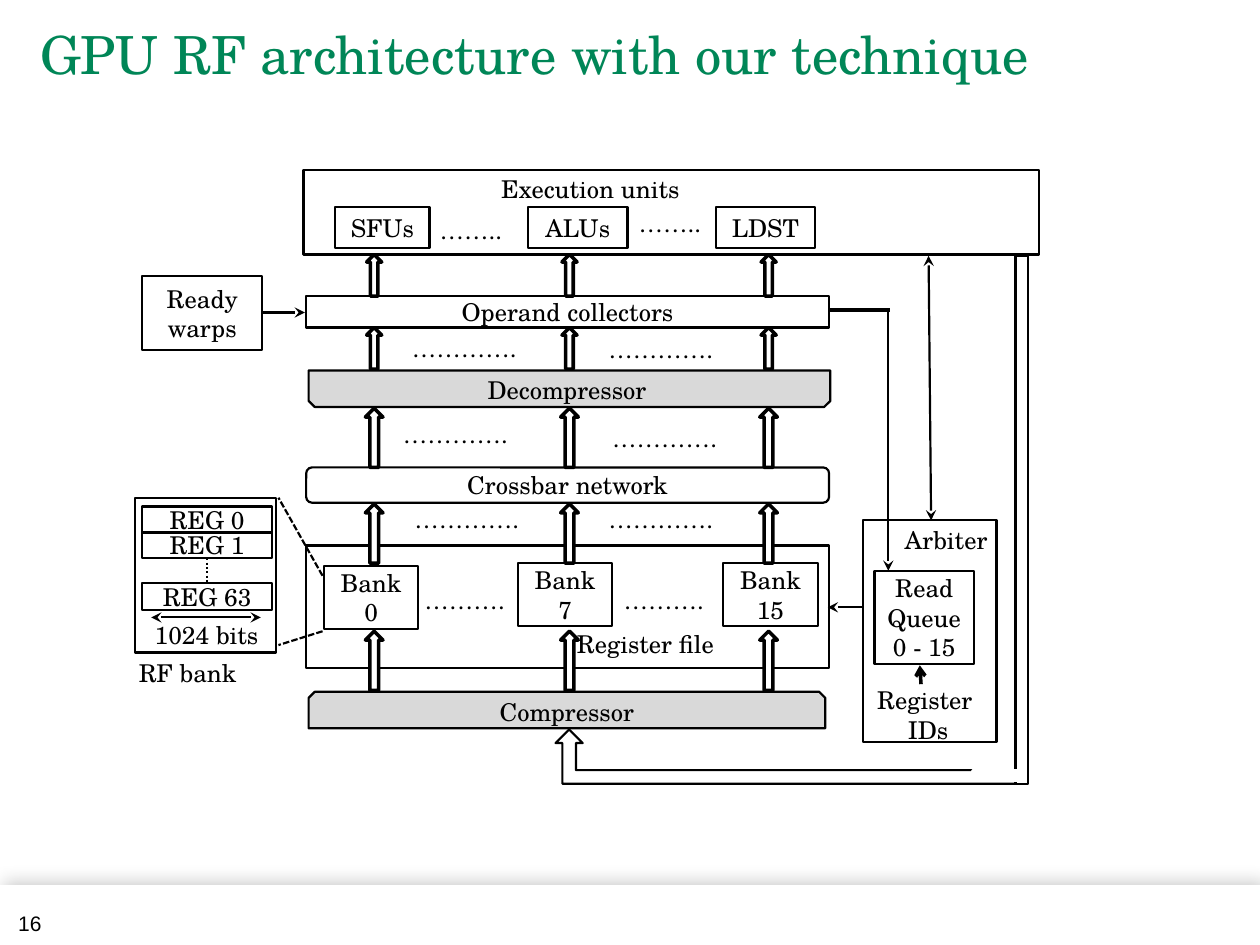
from dataclasses import dataclass

from lxml import etree
from pptx import Presentation
from pptx.dml.color import RGBColor
from pptx.enum.dml import MSO_LINE
from pptx.enum.shapes import MSO_CONNECTOR, MSO_SHAPE
from pptx.enum.text import MSO_ANCHOR, MSO_AUTO_SIZE, PP_ALIGN
from pptx.oxml import parse_xml
from pptx.oxml.ns import nsdecls, qn
from pptx.util import Inches, Pt

RECT, ROUND = MSO_SHAPE.RECTANGLE, MSO_SHAPE.ROUNDED_RECTANGLE
SNIP, UP = MSO_SHAPE.SNIP_2_SAME_RECTANGLE, MSO_SHAPE.UP_ARROW
BENT = MSO_SHAPE.BENT_UP_ARROW
STRAIGHT = MSO_CONNECTOR.STRAIGHT
DOTTED, DASHED = MSO_LINE.ROUND_DOT, MSO_LINE.SQUARE_DOT
LEFT, CENTER, RIGHT = PP_ALIGN.LEFT, PP_ALIGN.CENTER, PP_ALIGN.RIGHT
MIDDLE = MSO_ANCHOR.MIDDLE
FIT = MSO_AUTO_SIZE.SHAPE_TO_FIT_TEXT


@dataclass(frozen=True)
class Theme:
    """Colours, fonts, text sizes and line widths of the slide."""
    ink: RGBColor = RGBColor(0, 0, 0)
    paper: RGBColor = RGBColor(255, 255, 255)
    grey: RGBColor = RGBColor(0xD9, 0xD9, 0xD9)
    green: RGBColor = RGBColor(0x00, 0x86, 0x57)
    font: str = "TeX Gyre Schola"
    number_font: str = "Arial"
    title: Pt = Pt(30)
    body: Pt = Pt(14)
    number: Pt = Pt(12)
    thin: Pt = Pt(1.25)
    thick: Pt = Pt(2)


T = Theme()


@dataclass
class Region:
    """A part of the slide whose items are placed from its top left corner."""
    slide: object
    x: float
    y: float
    w: float
    h: float

    def shape(self, kind, x, y, w, h, text="", fill=None, line=T.ink, width=T.thin):
        """Draw a preset shape with centred text."""
        sp = self.slide.shapes.add_shape(
            kind, Inches(self.x + x), Inches(self.y + y), Inches(w), Inches(h))
        sp.shadow.inherit = False
        if fill is None:
            sp.fill.background()
        else:
            sp.fill.solid()
            sp.fill.fore_color.rgb = fill
        sp.line.color.rgb = line
        sp.line.width = width
        if text:
            sp.text_frame.vertical_anchor = MIDDLE
            write(sp.text_frame, text)
        return sp

    def frame(self):
        """Outline the whole region."""
        return self.shape(RECT, 0, 0, self.w, self.h)

    def label(self, x, y, w, text, h=0.34, align=LEFT, wrap=False):
        """Place a text box that fits its text."""
        tb = self.slide.shapes.add_textbox(
            Inches(self.x + x), Inches(self.y + y), Inches(w), Inches(h))
        tf = tb.text_frame
        tf.word_wrap = wrap
        tf.auto_size = FIT
        write(tf, text, align)
        return tf

    def line(self, x1, y1, x2, y2, width=T.thin, dash=None, head=None, tail=None):
        """Draw a straight line with optional arrowheads."""
        cx = self.slide.shapes.add_connector(
            STRAIGHT, Inches(self.x + x1), Inches(self.y + y1),
            Inches(self.x + x2), Inches(self.y + y2))
        cx.line.color.rgb = T.ink
        cx.line.width = width
        if dash:
            cx.line.dash_style = dash
        for tag, kind in (("a:headEnd", head), ("a:tailEnd", tail)):
            if kind:
                etree.SubElement(cx.line._get_or_add_ln(), qn(tag)).set("type", kind)
        etree.SubElement(cx.element.spPr, qn("a:effectLst"))


def write(tf, text, align=CENTER, size=T.body, color=T.ink, font=T.font, spacing=None):
    """Fill a text frame and format its paragraphs and runs."""
    tf.text = text
    for p in tf.paragraphs:
        p.alignment = align
        if spacing:
            p.line_spacing = spacing
        for r in p.runs:
            r.font.size, r.font.name = size, font
            r.font.color.rgb = color


def footer(s, x, y, w, h):
    """Draw the shaded footer band and the slide number."""
    band = Region(s, x, y, w, h)
    sp = band.shape(RECT, 0, 0, w, h, fill=T.paper, line=T.paper, width=Pt(0.75))
    effects = sp.element.spPr.find(qn("a:effectLst"))
    effects.append(parse_xml(
        f'<a:outerShdw {nsdecls("a")} blurRad="{Pt(10)}" dist="{Pt(3)}" dir="18900000">'
        '<a:srgbClr val="000000"><a:alpha val="20000"/></a:srgbClr></a:outerShdw>'))
    tf = s.shapes.add_textbox(
        Inches(x + 0.1), Inches(y + 0.22), Inches(0.23), Inches(0.17)).text_frame
    tf.margin_left = tf.margin_right = tf.margin_top = tf.margin_bottom = 0
    write(tf, "16", RIGHT, T.number, font=T.number_font, spacing=0.9)


def title(s, x, y, w, h):
    """Write the slide title."""
    tf = s.shapes.add_textbox(Inches(x), Inches(y), Inches(w), Inches(h)).text_frame
    tf.word_wrap = True
    write(tf, "GPU RF architecture with our technique", LEFT, T.title, T.green,
          spacing=0.85)


def execution_units(s, x, y, w, h):
    """Draw the execution units."""
    units = Region(s, x, y, w, h)
    units.frame()
    units.label(1.47, -0.02, 1.63, "Execution units")
    for left, width, name in ((0.25, 0.75, "SFUs"), (1.78, 0.79, "ALUs"),
                              (3.27, 0.79, "LDST")):
        units.shape(RECT, left, 0.29, width, 0.33, name)
    for left, top in ((0.98, 0.31), (2.56, 0.25)):
        units.label(left, top, 0.7, "……..")


def register_file(s, x, y, w, h):
    """Draw the register file with its banks."""
    rf = Region(s, x, y, w, h)
    rf.frame()
    for left, top, number in ((0.14, 0.16, 0), (1.68, 0.14, 7), (3.31, 0.14, 15)):
        rf.shape(RECT, left, top, 0.75, 0.5, f"Bank {number}")
    for left in (0.84, 2.42):
        rf.label(left, 0.26, 0.85, "……….")
    rf.label(2.05, 0.61, 1.51, "Register file", wrap=True)


def rf_bank(s, x, y, w, h):
    """Draw the detail of one bank and the lines that tie it to Bank 0."""
    bank = Region(s, x, y, w, h)
    bank.frame()
    for top, number in ((0.07, 0), (0.27, 1), (0.68, 63)):
        bank.shape(RECT, 0.06, top, 1.03, 0.21, f"REG {number}")
    bank.line(0.57, 0.48, 0.57, 0.68, dash=DOTTED)
    bank.line(0.13, 0.95, 1, 0.95, head="stealth", tail="stealth")
    bank.label(0.06, 0.92, 1.03, "1024 bits")
    bank.label(-0.07, 1.22, 0.98, "RF bank", align=CENTER)
    bank.line(1.49, 1.06, 1.14, 1.17, dash=DASHED)
    bank.line(1.49, 0.62, 1.14, 0, dash=DASHED)


def arbiter(s, x, y, w, h):
    """Draw the arbiter, its read queue and its links."""
    arb = Region(s, x, y, w, h)
    arb.frame()
    arb.label(0.11, -0.01, 1.1, "Arbiter", align=CENTER)
    arb.shape(RECT, 0.09, 0.4, 0.79, 0.74, "Read\nQueue\n0 - 15")
    arb.label(0.01, 1.26, 0.96, "Register\n IDs", h=0.57, align=CENTER)
    arb.line(0.46, 1.3, 0.45, 1.15, T.thick, tail="arrow")
    arb.line(0, 0.69, -0.28, 0.69, tail="stealth")
    arb.line(-0.27, -1.67, 0.21, -1.67, T.thick)
    arb.line(0.2, -1.67, 0.2, 0.4, tail="stealth")
    arb.line(0.52, -2.1, 0.54, 0, head="stealth", tail="stealth")


def datapath(s, x, y, w, h):
    """Draw the stages between the units and the register file, with their arrows."""
    path = Region(s, x, y, w, h)
    path.shape(RECT, 0, 0.33, w, 0.25, "Operand collectors")
    path.shape(ROUND, 0, 1.69, w, 0.28, "Crossbar network")
    path.shape(SNIP, 0.02, 3.47, 4.1, 0.29, "Compressor", T.grey)
    decompressor = path.shape(SNIP, 0.02, 0.92, 4.14, 0.29, fill=T.grey)
    decompressor.element.spPr.get_or_add_xfrm().set("flipV", "1")
    path.label(0.71, 0.91, 2.72, "Decompressor", align=CENTER)
    for left, top in ((0.74, 0.57), (2.3, 0.58), (0.67, 1.26), (2.33, 1.29),
                      (0.76, 1.93), (2.3, 1.93)):
        path.label(left, top, 1.04, "………….")
    for top, width, height in ((0, 0.12, 0.33), (0.58, 0.12, 0.33), (1.22, 0.14, 0.47),
                               (1.98, 0.14, 0.47), (2.99, 0.14, 0.47)):
        for center in (0.54, 2.09, 3.67):
            path.shape(UP, center - width / 2, top, width, height,
                       fill=T.paper, width=T.thick)


def ready_warps(s, x, y, w, h):
    """Draw the ready warps and their arrow to the operand collectors."""
    warps = Region(s, x, y, w, h)
    warps.shape(RECT, 0, 0, w, h, "Ready\nwarps", T.paper)
    warps.line(w, 0.29, 1.29, 0.29, tail="stealth")


def write_back(s, x, y, w, h):
    """Draw the pipe from the execution units back to the compressor."""
    pipe = Region(s, x, y, w, h)
    bend = pipe.shape(BENT, 0, h - 0.43, 3.71, 0.43, fill=T.paper)
    bend.element.spPr.get_or_add_xfrm().set("flipH", "1")
    pipe.shape(RECT, w - 0.1, 0, 0.1, h, fill=T.paper)
    pipe.shape(RECT, 3.31, h - 0.1, 0.41, 0.07, fill=T.paper, line=T.paper,
               width=T.thick)


def main():
    """Build the slide and save it."""
    prs = Presentation()
    prs.slide_width, prs.slide_height = Inches(10), Inches(7.5)
    s = prs.slides.add_slide(prs.slide_layouts[6])
    footer(s, 0, 7.03, 10, 0.47)
    execution_units(s, 2.41, 1.35, 5.84, 0.67)
    register_file(s, 2.43, 4.33, 4.15, 0.97)
    rf_bank(s, 1.07, 3.95, 1.12, 1.23)
    arbiter(s, 6.85, 4.13, 1.06, 1.76)
    ready_warps(s, 1.13, 2.19, 0.95, 0.59)
    datapath(s, 2.43, 2.02, 4.15, 3.76)
    write_back(s, 4.41, 2.03, 3.75, 4.19)
    title(s, 0.22, 0.2, 9, 0.56)
    prs.save("out.pptx")


if __name__ == "__main__":
    main()
